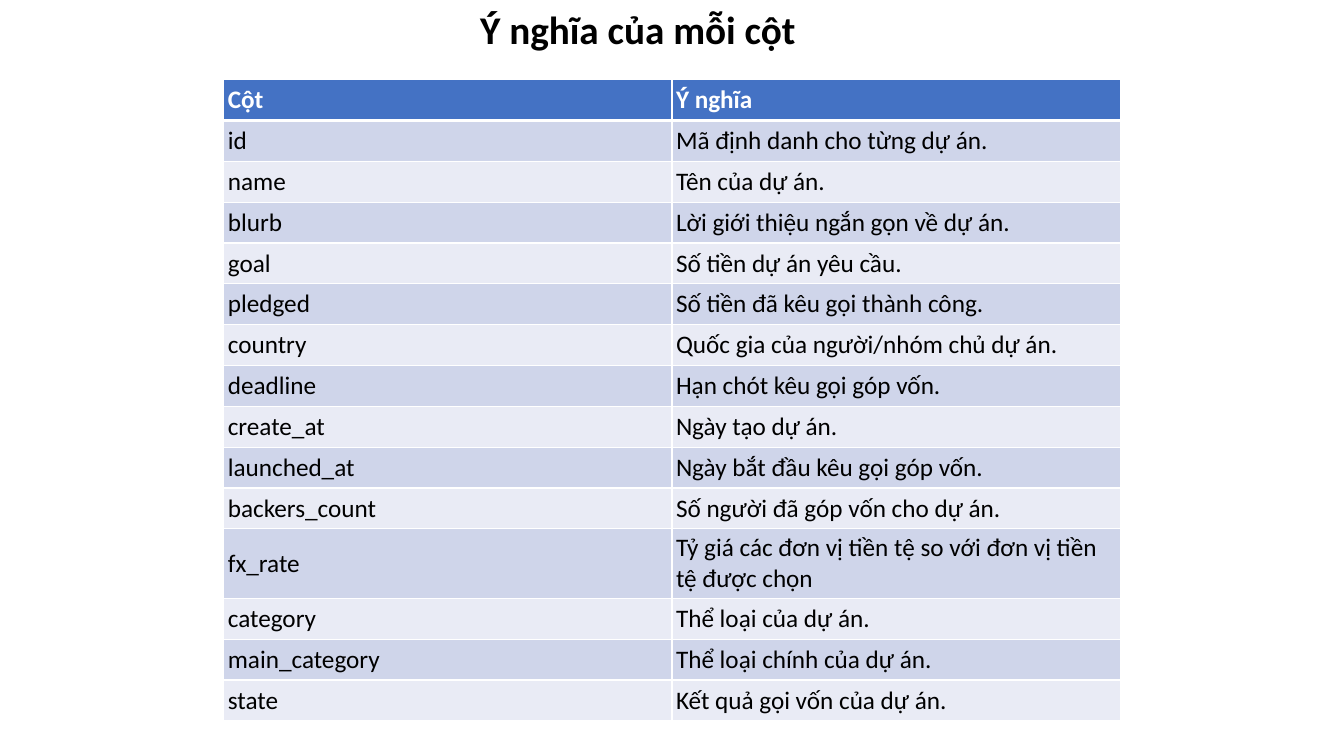
from lxml.etree import SubElement
from pptx import Presentation
from pptx.dml.color import RGBColor
from pptx.enum.text import MSO_ANCHOR, MSO_AUTO_SIZE, PP_ALIGN
from pptx.oxml.ns import qn
from pptx.util import Inches, Pt

TITLE = "Ý nghĩa của mỗi cột"
ROWS = [
    ("Cột", "Ý nghĩa"),
    ("id", "Mã định danh cho từng dự án."),
    ("name", "Tên của dự án."),
    ("blurb", "Lời giới thiệu ngắn gọn về dự án."),
    ("goal", "Số tiền dự án yêu cầu."),
    ("pledged", "Số tiền đã kêu gọi thành công."),
    ("country", "Quốc gia của người/nhóm chủ dự án."),
    ("deadline", "Hạn chót kêu gọi góp vốn."),
    ("create_at", "Ngày tạo dự án."),
    ("launched_at", "Ngày bắt đầu kêu gọi góp vốn."),
    ("backers_count", "Số người đã góp vốn cho dự án."),
    ("fx_rate", "Tỷ giá các đơn vị tiền tệ so với đơn vị tiền tệ được chọn"),
    ("category", "Thể loại của dự án."),
    ("main_category", "Thể loại chính của dự án."),
    ("state", "Kết quả gọi vốn của dự án."),
]
HEAD, BANDS = "4472C4", ("E9EBF5", "CFD5EA")
WHITE, BLACK = "FFFFFF", "000000"
TITLE_BOX = [Inches(n) for n in (3.44, 0, 5.77, 1.78)]
TABLE_BOX = [Inches(n) for n in (2.22, 0.79, 8.89, 6.08)]
PAD = Inches(0.04)


def paint(color, value):
    """Set a colour from a hex string."""
    color.rgb = RGBColor.from_string(value)


def style(para, size, color, bold):
    """Format every run of a paragraph."""
    for run in para.runs:
        font = run.font
        font.name, font.size, font.bold = "Calibri", Pt(size), bold
        paint(font.color, color)


def edge(cell, side, width):
    """Draw one white border of a cell."""
    line = SubElement(cell._tc.get_or_add_tcPr(), qn(f"a:ln{side}"), w=str(Pt(width)))
    SubElement(SubElement(line, qn("a:solidFill")), qn("a:srgbClr"), val=WHITE)


def add_title(slide):
    """Place the heading in the title placeholder."""
    title = slide.shapes.title
    title.left, title.top, title.width, title.height = TITLE_BOX
    frame = title.text_frame
    frame.text = TITLE
    frame.auto_size = MSO_AUTO_SIZE.NONE
    frame.vertical_anchor = MSO_ANCHOR.TOP
    para = frame.paragraphs[0]
    para.alignment = PP_ALIGN.CENTER
    style(para, 28, BLACK, True)


def fill_cell(cell, text, row):
    """Write and format one table cell."""
    cell.text = text
    cell.vertical_anchor = MSO_ANCHOR.MIDDLE
    cell.margin_left = cell.margin_right = PAD
    cell.margin_top = cell.margin_bottom = PAD
    widths = {"L": 1, "R": 1, "T": 3 if row == 1 else 1, "B": 1 if row else 3}
    for side, width in widths.items():
        edge(cell, side, width)
    cell.fill.solid()
    paint(cell.fill.fore_color, BANDS[row % 2] if row else HEAD)
    style(cell.text_frame.paragraphs[0], 18, BLACK if row else WHITE, not row)


def main():
    """Build the slide and save it."""
    deck = Presentation()
    deck.slide_width, deck.slide_height = Inches(13.33), Inches(7.5)
    slide = deck.slides.add_slide(deck.slide_layouts[5])
    add_title(slide)
    table = slide.shapes.add_table(len(ROWS), len(ROWS[0]), *TABLE_BOX).table
    for row, texts in enumerate(ROWS):
        for col, text in enumerate(texts):
            fill_cell(table.cell(row, col), text, row)
    deck.save("out.pptx")


if __name__ == "__main__":
    main()
